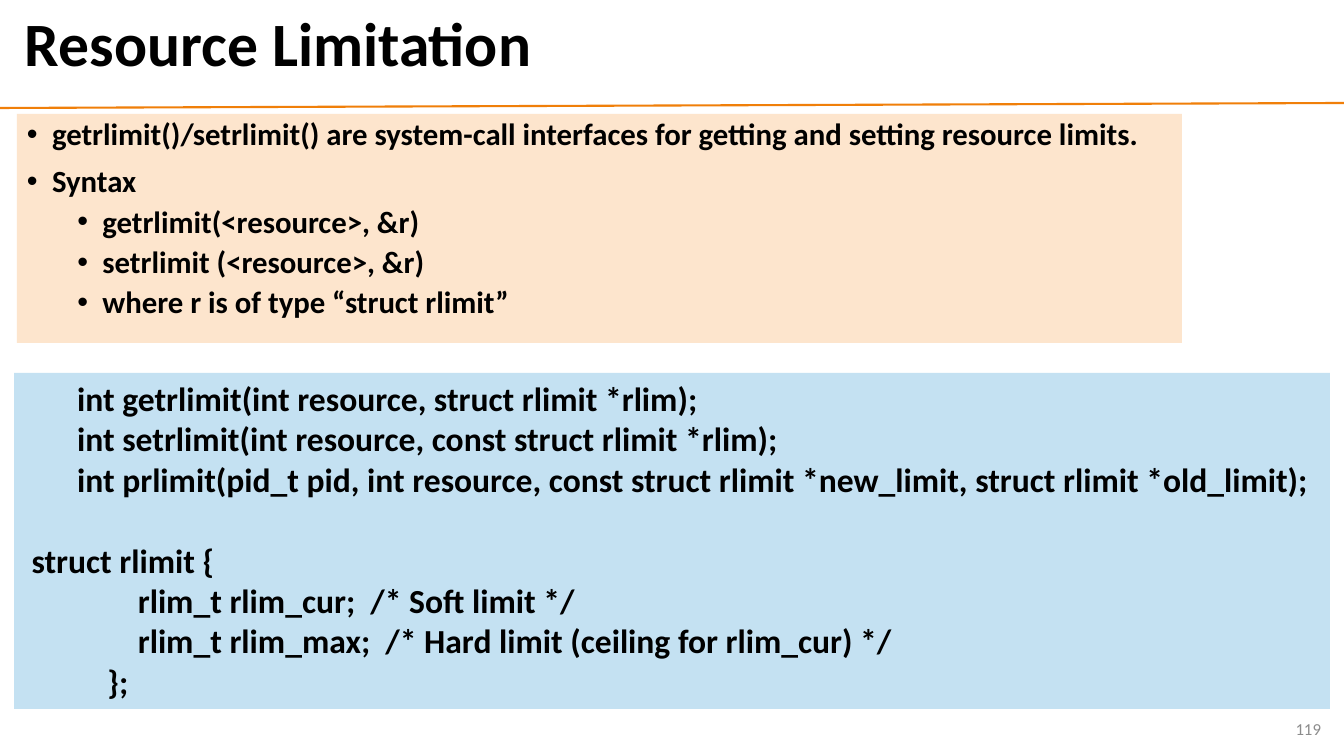
import pptx
import pptx.util
import pptx.dml.color
import pptx.enum.shapes
import pptx.enum.text
import pptx.oxml
import pptx.oxml.ns
from lxml import etree

PX = 914400 / 100.8
BLACK = pptx.dml.color.RGBColor(0x00, 0x00, 0x00)
GRAY = pptx.dml.color.RGBColor(0x8C, 0x8C, 0x8C)
ORANGE = pptx.dml.color.RGBColor(0xF0, 0x7F, 0x09)
PEACH = pptx.dml.color.RGBColor(0xFD, 0xE5, 0xCD)
SKY = pptx.dml.color.RGBColor(0xC4, 0xE1, 0xF2)
ALIGN = pptx.enum.text.PP_ALIGN
ANCHOR = pptx.enum.text.MSO_ANCHOR


def px(*lengths):
    return [round(length * PX) for length in lengths]


def write_lines(shape, lines, size, color=BLACK, bold=True, align=ALIGN.LEFT, anchor=ANCHOR.TOP):
    """Put one paragraph per line into the shape and return the paragraphs."""
    frame = shape.text_frame
    frame.word_wrap = True
    frame.vertical_anchor = anchor
    frame.text = "\n".join(lines)
    for paragraph in frame.paragraphs:
        paragraph.alignment = align
        for run in paragraph.runs:
            run.font.name = "Calibri"
            run.font.size = pptx.util.Pt(size)
            run.font.bold = bold
            run.font.color.rgb = color
    return frame.paragraphs


presentation = pptx.Presentation()
presentation.slide_width, presentation.slide_height = px(1344, 756)
slide = presentation.slides.add_slide(presentation.slide_layouts[6])
shapes = slide.shapes

title_rule = shapes.add_connector(pptx.enum.shapes.MSO_CONNECTOR.STRAIGHT, *px(0, 108, 1344, 103))
title_rule.line.color.rgb = ORANGE
title_rule.line.width = pptx.util.Pt(1.5)
etree.SubElement(title_rule._element.spPr, pptx.oxml.ns.qn("a:effectLst"))

title = shapes.add_textbox(*px(15, 5, 1299, 84))
write_lines(title, ["Resource Limitation"], 44, anchor=ANCHOR.MIDDLE)[0].line_spacing = 0.9

page_number = shapes.add_textbox(*px(1029, 709, 302, 40))
write_lines(page_number, ["119"], 12, GRAY, False, ALIGN.RIGHT, ANCHOR.MIDDLE)

code_panel = shapes.add_shape(pptx.enum.shapes.MSO_SHAPE.RECTANGLE, *px(14, 373, 1316, 336))
usage_panel = shapes.add_shape(pptx.enum.shapes.MSO_SHAPE.RECTANGLE, *px(17, 114, 1165, 229))
for panel, fill in ((code_panel, SKY), (usage_panel, PEACH)):
    panel.shadow.inherit = False
    panel.fill.solid()
    panel.fill.fore_color.rgb = fill
    panel.line.fill.background()

code = [
    "       int getrlimit(int resource, struct rlimit *rlim);",
    "       int setrlimit(int resource, const struct rlimit *rlim);",
    "       int prlimit(pid_t pid, int resource, const struct rlimit *new_limit, struct rlimit *old_limit);",
    " struct rlimit {",
    "               rlim_t rlim_cur;  /* Soft limit */",
    "               rlim_t rlim_max;  /* Hard limit (ceiling for rlim_cur) */",
    "           };",
]
code_lines = write_lines(code_panel, code, 24)
code_lines[3].space_before = pptx.util.Pt(29)

usage = [
    (0, "getrlimit()/setrlimit() are system-call interfaces for getting and setting resource limits."),
    (0, "Syntax"),
    (1, "getrlimit(<resource>, &r)"),
    (1, "setrlimit (<resource>, &r)"),
    (1, "where r is of type “struct rlimit”"),
]
bullets = write_lines(usage_panel, [text for _, text in usage], 22, align=ALIGN.JUSTIFY)
for index, (bullet, (level, _)) in enumerate(zip(bullets, usage)):
    bullet.level = level
    bullet.line_spacing = 0.9
    if index > 0:
        bullet.space_before = pptx.util.Pt(5 if level else 10)
    properties = bullet._p.get_or_add_pPr()
    properties.set("marL", str(pptx.util.Inches(0.25 + 0.5 * level)))
    properties.set("indent", str(pptx.util.Inches(-0.25)))
    etree.SubElement(properties, pptx.oxml.ns.qn("a:buFont"), typeface="Arial")
    etree.SubElement(properties, pptx.oxml.ns.qn("a:buChar"), char="•")

presentation.save("out.pptx")
